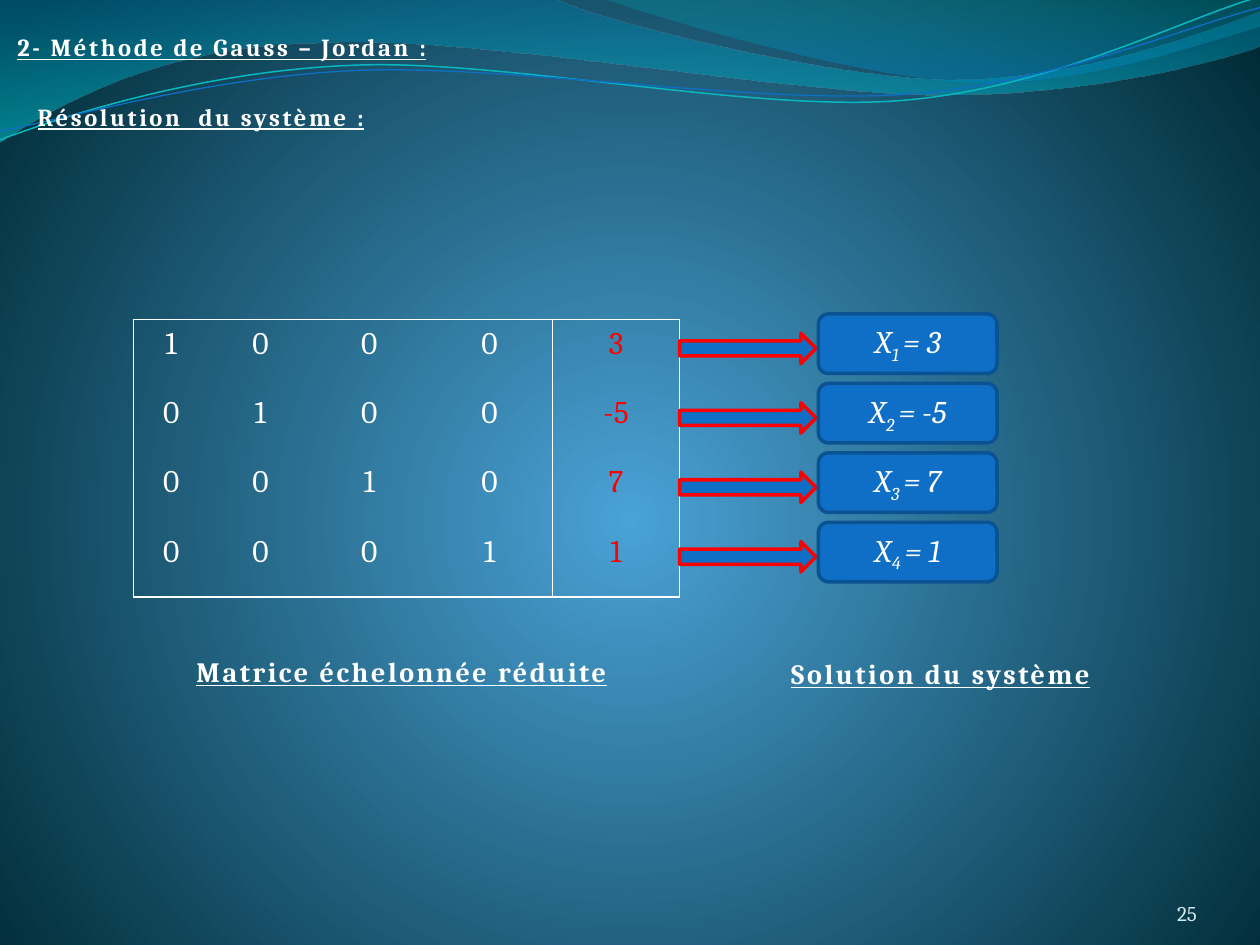
"""Build the Gauss-Jordan slide: reduced matrix and the solution it gives."""
from lxml import etree
from pptx import Presentation
from pptx.dml.color import RGBColor
from pptx.enum.shapes import MSO_SHAPE
from pptx.enum.text import MSO_ANCHOR, PP_ALIGN
from pptx.oxml import parse_xml
from pptx.oxml.ns import nsdecls, qn
from pptx.util import Cm, Pt

ARROW, ROUNDED = MSO_SHAPE.RIGHT_ARROW, MSO_SHAPE.ROUNDED_RECTANGLE
LEFT, CENTER, RIGHT = PP_ALIGN.LEFT, PP_ALIGN.CENTER, PP_ALIGN.RIGHT
TOP, MIDDLE, BOTTOM = MSO_ANCHOR.TOP, MSO_ANCHOR.MIDDLE, MSO_ANCHOR.BOTTOM
FONT, WHITE, RED, BLUE, NAVY = "Cambria", "FFFFFF", "FF0000", "0F6FC6", "0B5292"

HEADINGS = [
    ("2- Méthode de Gauss – Jordan :", 14, (0.1, 0.53, 9.35, 0.84)),
    ("Résolution  du système :", 14, (0.51, 1.93, 10.19, 0.84)),
    ("Matrice échelonnée réduite", 16, (3.71, 13.08, 9.45, 0.94)),
    ("Solution du système", 16, (15.7, 13.11, 7.34, 0.94)),
]
PAGE_NUMBER = ("25", (22.02, 17.65, 2.11, 1.02))
MATRIX = [
    ("1", "0", "0", "0", "3"),
    ("0", "1", "0", "0", "-5"),
    ("0", "0", "1", "0", "7"),
    ("0", "0", "0", "1", "1"),
]
COLUMN_WIDTHS = [1.52, 2.08, 2.31, 2.54, 2.56]
MATRIX_LEFT, MATRIX_TOP, ROW_HEIGHT = 2.69, 6.44, 1.4
ARROW_PLACE = (13.7, 6.72, 2.75, 0.61)
ANSWER_PLACE = (16.5, 6.33, 3.6, 1.2)

BACKGROUND = [(0, "4AA2D6", 100), (100, "002B36", 100)]
CIRCLE = ('<a:path path="circle"><a:fillToRect l="50000" t="55000" '
          'r="50000" b="45000"/></a:path>')
WAVE_UNIT = Cm(2.54)
BANDS = [
    ([[(0, 0)], [(4.4, -0.01)],
      [(4.76, 0.17), (6.64, 0.63), (7.58, 0.63)],
      [(8.53, 0.63), (9.58, 0.26), (10, 0.09)], [(10.01, 0.36)],
      [(9.83, 0.44), (8.7, 0.76), (7.46, 0.75)],
      [(6.22, 0.75), (3.82, 0.28), (2.57, 0.34)],
      [(1.29, 0.35), (0.46, 0.83), (-0.01, 1.13)], [(0, 0)]],
     [(0, "0074A0", 45), (100, "00C4CD", 55)], 90),
    ([[(4.79, -0.01)], [(5.09, 0.11), (6.82, 0.62), (7.69, 0.65)],
      [(8.56, 0.69), (9.61, 0.32), (10, 0.21)], [(10, 0)], [(4.79, -0.01)]],
     [(20, "008ABF", 45), (100, "00A0A8", 30)], 270),
]
STRANDS = [
    ([[(0, 1.11)], [(0.48, 0.93), (1.58, 0.57), (2.77, 0.52)],
      [(3.95, 0.46), (5.93, 0.89), (7.13, 0.8)],
      [(8.33, 0.71), (9.38, 0.15), (9.98, -0.02)]], "09B7BF", 0.85),
    ([[(0, 1.04)], [(0.47, 0.96), (1.64, 0.61), (2.83, 0.56)],
      [(4.03, 0.51), (5.97, 0.83), (7.17, 0.75)],
      [(8.36, 0.67), (9.41, 0.21), (10, 0.06)]], BLUE, 0.75),
]


def color(value):
    return RGBColor.from_string(value)


def lengths(place):
    return [Cm(value) for value in place]


def set_gradient(fill, owner, stops, direction):
    fill.solid()
    solid = next(owner.iter(qn("a:solidFill")))
    marks = "".join(
        f'<a:gs pos="{position * 1000}"><a:srgbClr val="{value}">'
        f'<a:alpha val="{opacity * 1000}"/></a:srgbClr></a:gs>'
        for position, value, opacity in stops)
    solid.getparent().replace(solid, parse_xml(
        f'<a:gradFill {nsdecls("a")} rotWithShape="1"><a:gsLst>{marks}</a:gsLst>'
        f'{direction}</a:gradFill>'))


def bend(wave, segments):
    corners = wave._element.iter(qn("a:lnTo"))
    steps = [[next(corners) for _ in segment] for segment in segments[1:]]
    for step in steps:
        if len(step) == 3:
            curve = etree.Element(qn("a:cubicBezTo"))
            step[0].addprevious(curve)
            for corner in step:
                curve.append(corner[0])
                corner.getparent().remove(corner)


def add_wave(page, segments, close):
    points = [(x * WAVE_UNIT, y * WAVE_UNIT)
              for segment in segments for x, y in segment]
    builder = page.shapes.build_freeform(*points[0])
    builder.add_line_segments(points[1:], close=close)
    wave = builder.convert_to_shape()
    wave.shadow.inherit = False
    bend(wave, segments)
    return wave


def add_span(para, text, size, value=WHITE, **attributes):
    span = para.add_run()
    span.text = text
    span.font.name, span.font.size = FONT, Pt(size)
    span.font.color.rgb = color(value)
    for name, setting in attributes.items():
        span.font._element.set(name, setting)


def add_text(page, place, text, size, value=WHITE, align=LEFT, anchor=TOP,
             inset=True, **attributes):
    frame = page.shapes.add_textbox(*lengths(place)).text_frame
    frame.word_wrap, frame.vertical_anchor = True, anchor
    if not inset:
        frame.margin_left = frame.margin_right = 0
        frame.margin_top = frame.margin_bottom = 0
    para = frame.paragraphs[0]
    para.alignment = align
    add_span(para, text, size, value, **attributes)


def add_box(page, kind, place, row, line):
    left, top, width, height = place
    box = page.shapes.add_shape(
        kind, *lengths((left, top + row * ROW_HEIGHT, width, height)))
    box.shadow.inherit = False
    box.fill.solid()
    box.fill.fore_color.rgb = color(BLUE)
    box.line.color.rgb, box.line.width = color(line), Pt(2)
    return box


def set_borders(cell, shown):
    properties = cell._tc.get_or_add_tcPr()
    for index, side in enumerate("LRTB"):
        border = etree.Element(qn(f"a:ln{side}"), w=str(Pt(0.96)))
        if side in shown:
            paint = etree.SubElement(border, qn("a:solidFill"))
            etree.SubElement(paint, qn("a:srgbClr"), val=WHITE)
        else:
            etree.SubElement(border, qn("a:noFill"))
        properties.insert(index, border)


def add_matrix(page):
    last_row, last_column = len(MATRIX) - 1, len(COLUMN_WIDTHS) - 1
    place = (MATRIX_LEFT, MATRIX_TOP, sum(COLUMN_WIDTHS), ROW_HEIGHT * len(MATRIX))
    table = page.shapes.add_table(
        len(MATRIX), len(COLUMN_WIDTHS), *lengths(place)).table
    table.first_row = table.horz_banding = False
    for column, width in zip(table.columns, COLUMN_WIDTHS):
        column.width = Cm(width)
    for row, values in enumerate(MATRIX):
        table.rows[row].height = Cm(ROW_HEIGHT)
        for column, text in enumerate(values):
            cell = table.cell(row, column)
            cell.fill.background()
            sides = {"L": column in (0, last_column), "R": column >= last_column - 1,
                     "T": row == 0, "B": row == last_row}
            set_borders(cell, [side for side, shown in sides.items() if shown])
            para = cell.text_frame.paragraphs[0]
            para.alignment = CENTER
            add_span(para, text, 18, RED if column == last_column else WHITE)


def add_answer(page, row, result):
    add_box(page, ARROW, ARROW_PLACE, row, RED)
    frame = add_box(page, ROUNDED, ANSWER_PLACE, row, NAVY).text_frame
    frame.vertical_anchor = MIDDLE
    para = frame.paragraphs[0]
    para.alignment = CENTER
    add_span(para, "X", 18, i="1")
    add_span(para, f"{row + 1} ", 18, i="1", baseline="-25000")
    add_span(para, f"= {result}", 18, i="1")


def main():
    deck = Presentation()
    deck.slide_width, deck.slide_height = Cm(25.4), Cm(19.05)
    page = deck.slides.add_slide(deck.slide_layouts[6])
    set_gradient(page.background.fill, page._element, BACKGROUND, CIRCLE)
    for segments, stops, angle in BANDS:
        band = add_wave(page, segments, True)
        band.line.fill.background()
        set_gradient(band.fill, band._element, stops,
                     f'<a:lin ang="{angle * 60000}" scaled="1"/>')
    for segments, value, width in STRANDS:
        strand = add_wave(page, segments, False)
        strand.fill.background()
        strand.line.color.rgb, strand.line.width = color(value), Pt(width)
    for text, size, place in HEADINGS:
        add_text(page, place, text, size, b="1", u="sng", spc="150")
    number, place = PAGE_NUMBER
    add_text(page, place, number, 12, "D1EAED", RIGHT, BOTTOM, inset=False)
    add_matrix(page)
    for row, values in enumerate(MATRIX):
        add_answer(page, row, values[-1])
    deck.save("out.pptx")


if __name__ == "__main__":
    main()
